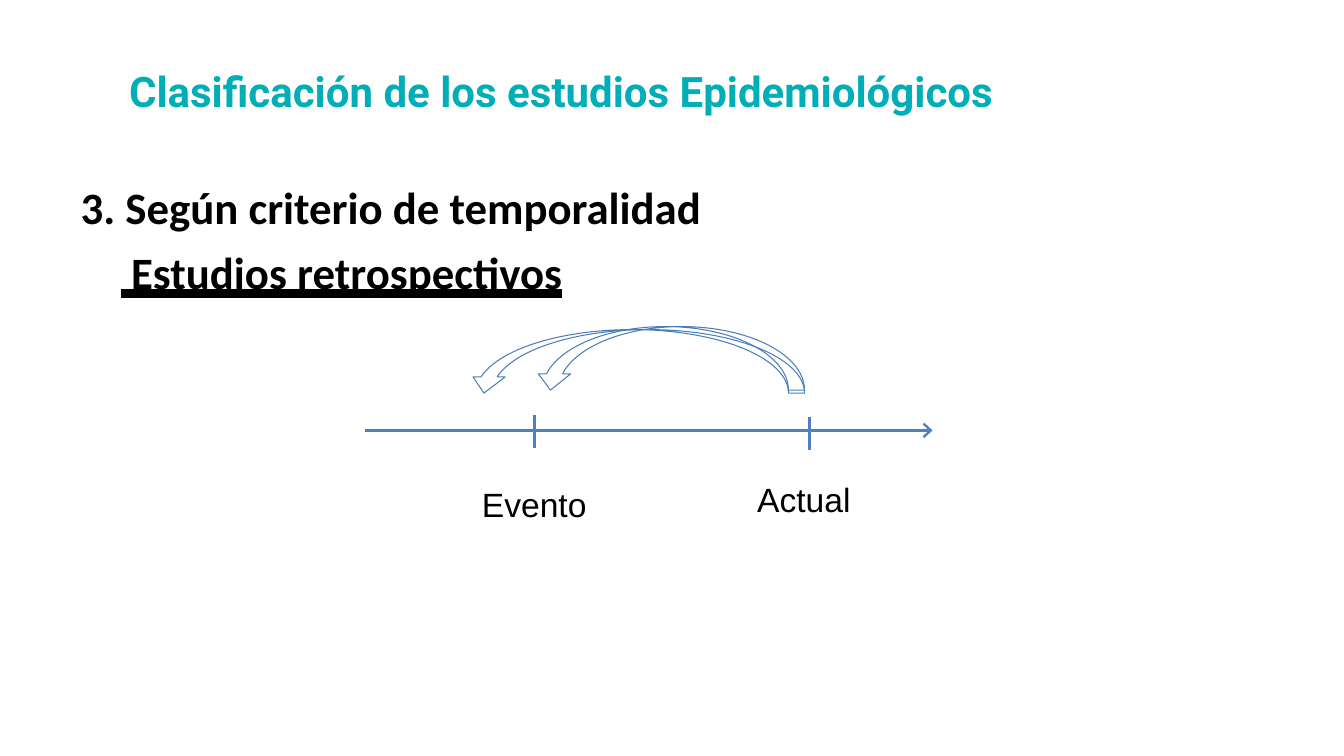
from dataclasses import dataclass
from math import asin, cos, pi, sin

from pptx import Presentation
from pptx import util as u
from pptx.dml.color import RGBColor
from pptx.enum import shapes, text
from pptx.oxml.ns import qn
from lxml import etree

COLUMNS, ROWS = 13.33, 7.5


@dataclass(frozen=True)
class Theme:
    """Colours, fonts and sizes of the slide."""
    title: dict
    heading: dict
    label: dict
    axis: str = "4F81BD"
    arc: str = "4A7EBB"
    axis_width: float = 2
    arc_width: float = 0.75


THEME = Theme(
    title={"name": "Roboto", "size": u.Pt(30), "bold": True, "color": "00AEB8"},
    heading={"name": "Calibri", "size": u.Pt(32), "bold": True, "color": "000000"},
    label={"name": "Arial", "size": u.Pt(24), "bold": False, "color": "000000"},
)
FRAME = {"margin_left": 0, "margin_right": 0, "margin_top": u.Inches(0.02),
         "margin_bottom": 0, "word_wrap": True,
         "auto_size": text.MSO_AUTO_SIZE.NONE}


def apply(target, values):
    """Set each attribute of target from a dict of values."""
    for key, value in values.items():
        setattr(target, key, value)


class TimelineSlide:
    """Draws elements placed on a grid of columns and rows."""

    def __init__(self, deck, theme):
        """Open a title-only slide and measure its grid."""
        self.theme = theme
        self.column = deck.slide_width / COLUMNS
        self.row = deck.slide_height / ROWS
        self.slide = deck.slides.add_slide(deck.slide_layouts[5])

    def point(self, x, y):
        """Turn a column and a row into slide units."""
        return round(x * self.column), round(y * self.row)

    def style_font(self, font, style):
        """Apply a text style of the theme to a font."""
        apply(font, {k: v for k, v in style.items() if k != "color"})
        font.color.rgb = RGBColor.from_string(style["color"])

    def paragraph(self, frame, anchor, spacing=1.0):
        """Prepare a text frame and return its first paragraph."""
        apply(frame, {**FRAME, "vertical_anchor": anchor})
        line = frame.paragraphs[0]
        apply(line, {"alignment": text.PP_ALIGN.LEFT, "line_spacing": spacing,
                     "space_before": u.Pt(0)})
        return line

    def textbox(self, x, y, width, height):
        """Add a text box and return its frame."""
        return self.slide.shapes.add_textbox(
            *self.point(x, y), *self.point(width, height)).text_frame

    def title(self, words, x, y, width, height):
        """Move, fill and format the title placeholder."""
        title = self.slide.shapes.title
        left, top = self.point(x, y)
        wide, high = self.point(width, height)
        apply(title, {"left": left, "top": top, "width": wide, "height": high})
        line = self.paragraph(title.text_frame, text.MSO_ANCHOR.MIDDLE)
        run = line.add_run()
        run.text = words
        self.style_font(run.font, self.theme.title)

    def heading(self, criterion, study, x, y, width, height):
        """Write the criterion with the underlined study type below it."""
        frame = self.textbox(x, y, width, height)
        line = self.paragraph(frame, text.MSO_ANCHOR.TOP, 1.2)
        margins = line._p.get_or_add_pPr()
        margins.set("marL", str(u.Inches(0.42)))
        margins.set("indent", str(u.Inches(-0.4)))
        first = line.add_run()
        first.text = criterion
        line.add_line_break()
        second = line.add_run()
        second.text = study
        for run in (first, second):
            self.style_font(run.font, self.theme.heading)
        second.font.underline = text.MSO_UNDERLINE.HEAVY_LINE

    def label(self, words, x, y, width, height):
        """Write a label under the time axis."""
        line = self.paragraph(self.textbox(x, y, width, height), text.MSO_ANCHOR.TOP)
        line._p.get_or_add_pPr().set("marL", str(u.Inches(0.02)))
        run = line.add_run()
        run.text = words
        self.style_font(run.font, self.theme.label)

    def line(self, start, end, arrow=False):
        """Draw a straight line, with an open arrowhead if asked."""
        stroke = self.slide.shapes.add_connector(
            shapes.MSO_CONNECTOR.STRAIGHT, *self.point(*start), *self.point(*end))
        stroke.line.color.rgb = RGBColor.from_string(self.theme.axis)
        stroke.line.width = u.Pt(self.theme.axis_width)
        if arrow:
            etree.SubElement(stroke.line._get_or_add_ln(), qn("a:tailEnd"),
                             type="arrow", w="lg", len="med")
        etree.SubElement(stroke._element.spPr, qn("a:effectLst"))

    def back_arrow(self, right, base, radius, rise, band=0.16, steps=24):
        """Outline an arrow that curves back between two shifted half ellipses."""
        outer = right - radius
        inner = outer - band
        middle = (outer + inner) / 2
        neck = asin(band / rise)

        def arc(centre, start, end):
            angles = (start + (end - start) * i / steps for i in range(steps + 1))
            return [(centre + radius * cos(a), base - rise * sin(a)) for a in angles]

        meeting = pi / 2 + asin(band / 2 / radius)
        shaft = middle - radius * cos(neck)
        head = [(shaft + band, base - band), (middle - radius, base),
                (shaft - band, base - band)]
        outline = (arc(outer, meeting, pi - neck) + head
                   + arc(inner, pi - neck, pi / 2) + arc(outer, pi / 2, 0)
                   + arc(inner, 0, pi / 2))
        points = [self.point(*p) for p in outline]
        builder = self.slide.shapes.build_freeform(*points[0])
        builder.add_line_segments(points[1:], close=False)
        arrow = builder.convert_to_shape()
        arrow.shadow.inherit = False
        arrow.fill.background()
        arrow.line.color.rgb = RGBColor.from_string(self.theme.arc)
        arrow.line.width = u.Pt(self.theme.arc_width)


def main():
    """Build the slide on retrospective studies."""
    deck = Presentation()
    deck.slide_width, deck.slide_height = u.Inches(COLUMNS), u.Inches(ROWS)
    page = TimelineSlide(deck, THEME)
    page.title("Clasificación de los estudios Epidemiológicos", 1.28, 0.63, 10.77, 0.52)
    page.heading("3. Según criterio de temporalidad", " Estudios retrospectivos",
                 0.78, 1.66, 6.5, 1.27)
    page.line((3.62, 4.27), (9.25, 4.27), arrow=True)
    moments = [("Evento", 5.3, 4.12, 4.76, 4.78), ("Actual", 8.03, 4.14, 7.49, 4.73)]
    for name, mark, top, left, label_top in moments:
        page.line((mark, top), (mark, top + 0.32))
        page.label(name, left, label_top, 1.08, 0.42)
    for base, radius in ((3.87, 1.22), (3.9, 1.55)):
        page.back_arrow(7.98, base, radius, 0.63)
    deck.save("out.pptx")


if __name__ == "__main__":
    main()
